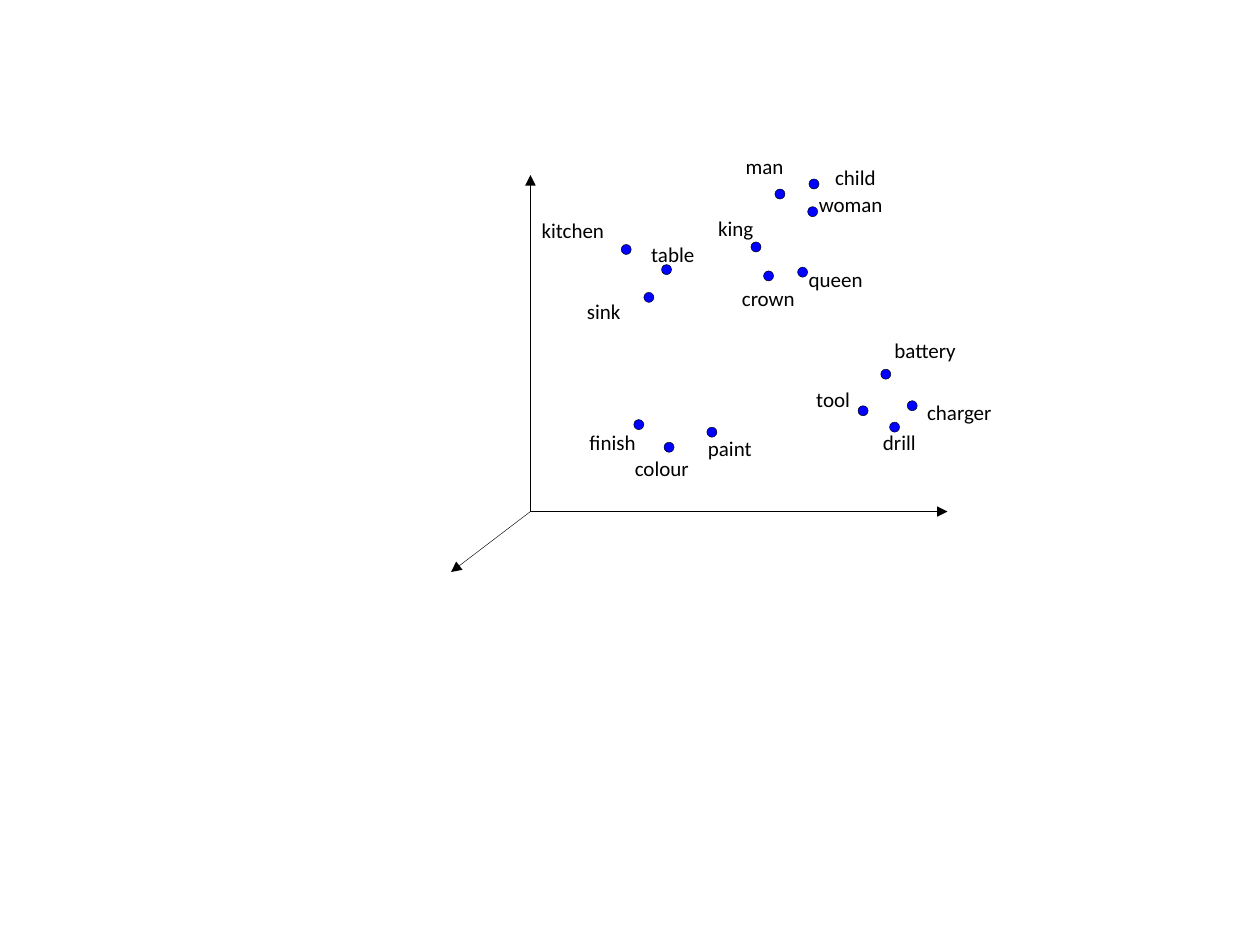
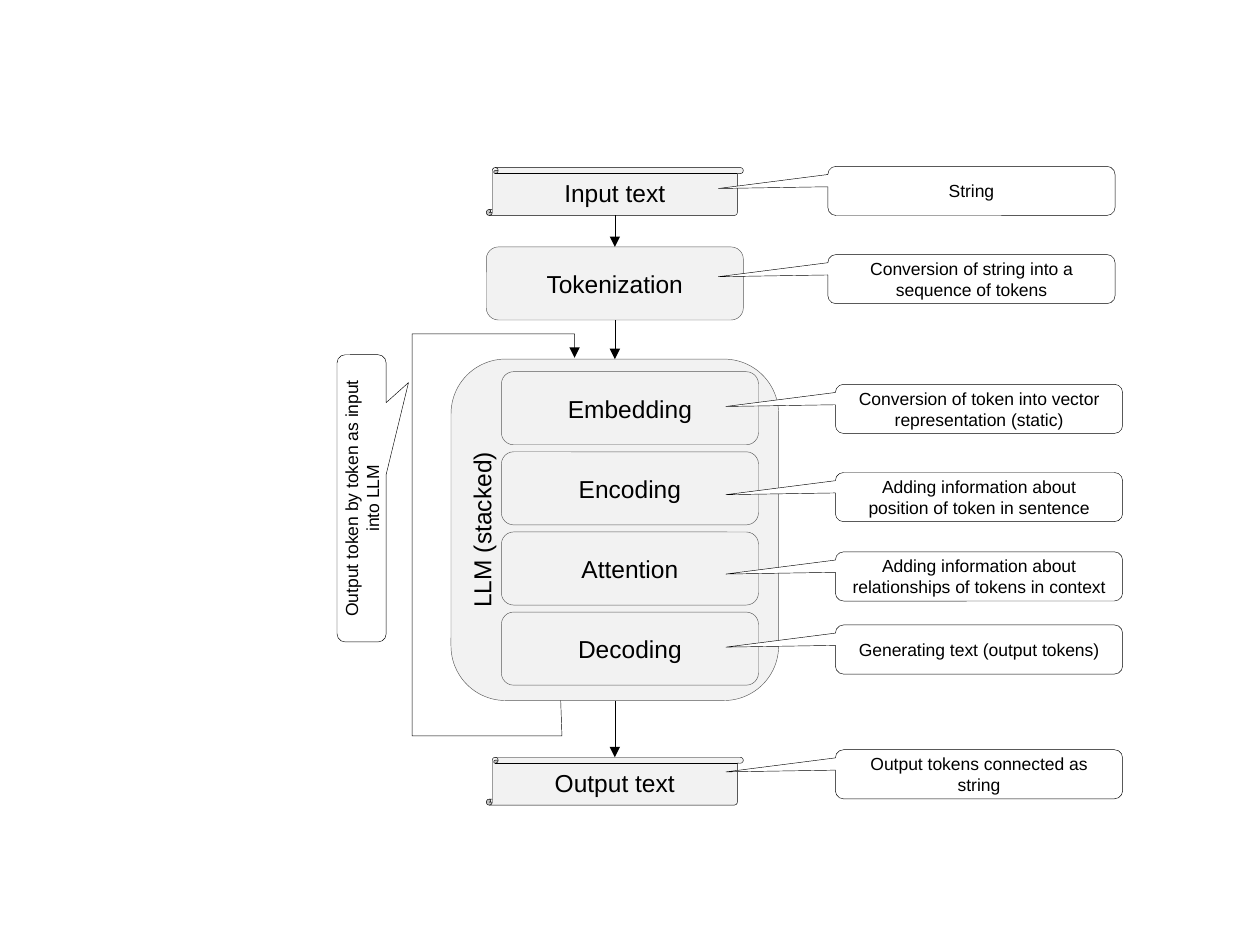
from lxml.etree import SubElement
from pptx import Presentation
from pptx.dml.color import RGBColor
from pptx.enum.shapes import MSO_CONNECTOR, MSO_SHAPE
from pptx.enum.text import MSO_ANCHOR, MSO_AUTO_SIZE, PP_ALIGN
from pptx.oxml.ns import qn
from pptx.util import Inches, Pt

BLACK = RGBColor(0x00, 0x00, 0x00)
WHITE = RGBColor(0xFF, 0xFF, 0xFF)
BLUE = RGBColor(0x00, 0x00, 0xFF)
LIGHT_GREY = RGBColor(0xF2, 0xF2, 0xF2)
DARK_GREY = RGBColor(0x59, 0x59, 0x59)

WORD_FONT = {"name": "Calibri", "size": Pt(12)}
STEP_FONT = {"name": "Arial", "size": Pt(14)}
NOTE_FONT = {"name": "Arial", "size": Pt(10)}

DOT = 0.08
ORIGIN = (4.21, 4.06)
AXIS_ENDS = [(7.52, 4.06), (4.21, 1.39), (3.58, 4.54)]

# word, dot left and top, label left, top and width
WORDS = [
    ("kitchen", 4.93, 1.94, 4.2, 1.68, 0.7),
    ("table", 5.25, 2.1, 5.07, 1.87, 0.55),
    ("sink", 5.11, 2.32, 4.56, 2.32, 0.47),
    ("man", 6.15, 1.5, 5.82, 1.17, 0.51),
    ("child", 6.42, 1.42, 6.53, 1.26, 0.53),
    ("woman", 6.41, 1.64, 6.4, 1.47, 0.71),
    ("king", 5.96, 1.92, 5.6, 1.66, 0.48),
    ("queen", 6.33, 2.12, 6.32, 2.07, 0.63),
    ("crown", 6.06, 2.15, 5.79, 2.22, 0.63),
    ("battery", 6.99, 2.93, 7, 2.63, 0.69),
    ("charger", 7.2, 3.18, 7.26, 3.12, 0.72),
    ("tool", 6.81, 3.22, 6.38, 3.02, 0.47),
    ("drill", 7.06, 3.35, 6.91, 3.36, 0.46),
    ("finish", 5.03, 3.33, 4.58, 3.36, 0.57),
    ("colour", 5.27, 3.51, 4.94, 3.57, 0.64),
    ("paint", 5.61, 3.39, 5.52, 3.41, 0.55),
]

STEP_LEFT, STEP_W, STEP_H = 3.86, 2.04, 0.58
SCROLL_H = 0.38
LAYERS = ["Embedding", "Encoding", "Attention", "Decoding"]
LAYER_LEFT, LAYER_TOP, LAYER_PITCH = 3.98, 2.95, 0.636

NOTE_W, NOTE_H = 2.28, 0.39
NOTE_TIP = (-0.881, -0.048)
NOTES = [
    (6.57, 1.32, "String"),
    (6.57, 2.02, "Conversion of string into a sequence of tokens"),
    (6.63, 3.05, "Conversion of token into vector representation (static)"),
    (6.63, 3.75, "Adding information about position of token in sentence"),
    (6.63, 4.38, "Adding information about relationships of tokens in context"),
    (6.63, 4.96, "Generating text (output tokens)"),
    (6.63, 5.95, "Output tokens connected as string"),
]
LOOP = [(4.45, 5.56), (4.46, 5.84), (3.27, 5.84), (3.27, 2.65), (4.56, 2.65), (4.56, 2.84)]


def inches(*values):
    return [Inches(v) for v in values]


def write(sp, text, font):
    p = sp.text_frame.paragraphs[0]
    r = p.add_run()
    r.text = text
    for name, value in font.items():
        setattr(r.font, name, value)
    r.font.color.rgb = BLACK
    return p


def outline(sp, color=BLACK):
    sp.line.color.rgb = color
    sp.line.width = Pt(0.25)


def add_arrowhead(sp):
    SubElement(sp.line._ln, qn("a:tailEnd"), type="triangle")


def add_box(s, kind, box, fill, line=BLACK, text="", font=STEP_FONT, inset=None):
    sp = s.shapes.add_shape(kind, *inches(*box))
    sp.shadow.inherit = False
    sp.fill.solid()
    sp.fill.fore_color.rgb = fill
    outline(sp, line)
    tf = sp.text_frame
    tf.vertical_anchor = MSO_ANCHOR.MIDDLE
    if inset is not None:
        for side in ("left", "top", "right", "bottom"):
            setattr(tf, f"margin_{side}", inset)
    if text:
        write(sp, text, font).alignment = PP_ALIGN.CENTER
    return sp


def add_step(s, text, left, top, width=STEP_W, height=STEP_H):
    return add_box(s, MSO_SHAPE.ROUNDED_RECTANGLE, (left, top, width, height),
                   LIGHT_GREY, DARK_GREY, text, inset=0)


def add_scroll(s, text, top):
    return add_box(s, MSO_SHAPE.VERTICAL_SCROLL, (STEP_LEFT, top, STEP_W, SCROLL_H),
                   LIGHT_GREY, text=text)


def add_note(s, left, top, text, tip=NOTE_TIP):
    """Add a callout; tip is its pointer's offset from the centre, in widths and heights."""
    sp = add_box(s, MSO_SHAPE.ROUNDED_RECTANGULAR_CALLOUT, (left, top, NOTE_W, NOTE_H),
                 WHITE, text=text, font=NOTE_FONT)
    sp.adjustments[0], sp.adjustments[1] = tip
    return sp


def add_arrow(s, start, end):
    c = s.shapes.add_connector(MSO_CONNECTOR.STRAIGHT, *inches(*start, *end))
    outline(c)
    add_arrowhead(c)
    SubElement(c._element.spPr, qn("a:effectLst"))
    return c


def add_flow(s, upper, lower):
    """Join the bottom of one shape to the top of the next."""
    c = add_arrow(s, (0, 0), (0, 0))
    c.begin_connect(upper, 2)
    c.end_connect(lower, 0)


def add_loop(s, points):
    corners = [inches(*point) for point in points]
    builder = s.shapes.build_freeform(*corners[0])
    builder.add_line_segments(corners[1:], close=False)
    sp = builder.convert_to_shape()
    sp.shadow.inherit = False
    sp.fill.background()
    outline(sp)
    add_arrowhead(sp)


def add_word(s, word, left, top, width):
    sp = s.shapes.add_textbox(*inches(left, top, width, 0.3))
    sp.text_frame.word_wrap = False
    sp.text_frame.auto_size = MSO_AUTO_SIZE.SHAPE_TO_FIT_TEXT
    write(sp, word, WORD_FONT)


def build_word_space(s):
    for end in AXIS_ENDS:
        add_arrow(s, ORIGIN, end)
    for word, dot_left, dot_top, left, top, width in WORDS:
        add_box(s, MSO_SHAPE.OVAL, (dot_left, dot_top, DOT, DOT), BLUE)
        add_word(s, word, left, top, width)


def build_llm_pipeline(s):
    llm = add_step(s, "LLM (stacked)", 3.58, 2.85, 2.6, 2.71)
    llm.text_frame.vertical_anchor = MSO_ANCHOR.TOP
    llm.text_frame._txBody.bodyPr.set("vert", "vert270")
    source = add_scroll(s, "Input text", 1.33)
    tokenization = add_step(s, "Tokenization", STEP_LEFT, 1.96)
    for i, layer in enumerate(LAYERS):
        add_step(s, layer, LAYER_LEFT, LAYER_TOP + i * LAYER_PITCH)
    result = add_scroll(s, "Output text", 6.01)

    for upper, lower in [(source, tokenization), (tokenization, llm), (llm, result)]:
        add_flow(s, upper, lower)
    add_loop(s, LOOP)

    for note in NOTES:
        add_note(s, *note)
    loop_note = add_note(s, 1.73, 3.76, "Output token by token as input into LLM", (0.403, 0.955))
    loop_note.rotation = 270


def main():
    prs = Presentation()
    prs.slide_width, prs.slide_height = inches(10, 7.5)
    blank = prs.slide_layouts[6]
    for build in (build_word_space, build_llm_pipeline):
        build(prs.slides.add_slide(blank))
    prs.save("out.pptx")


if __name__ == "__main__":
    main()
